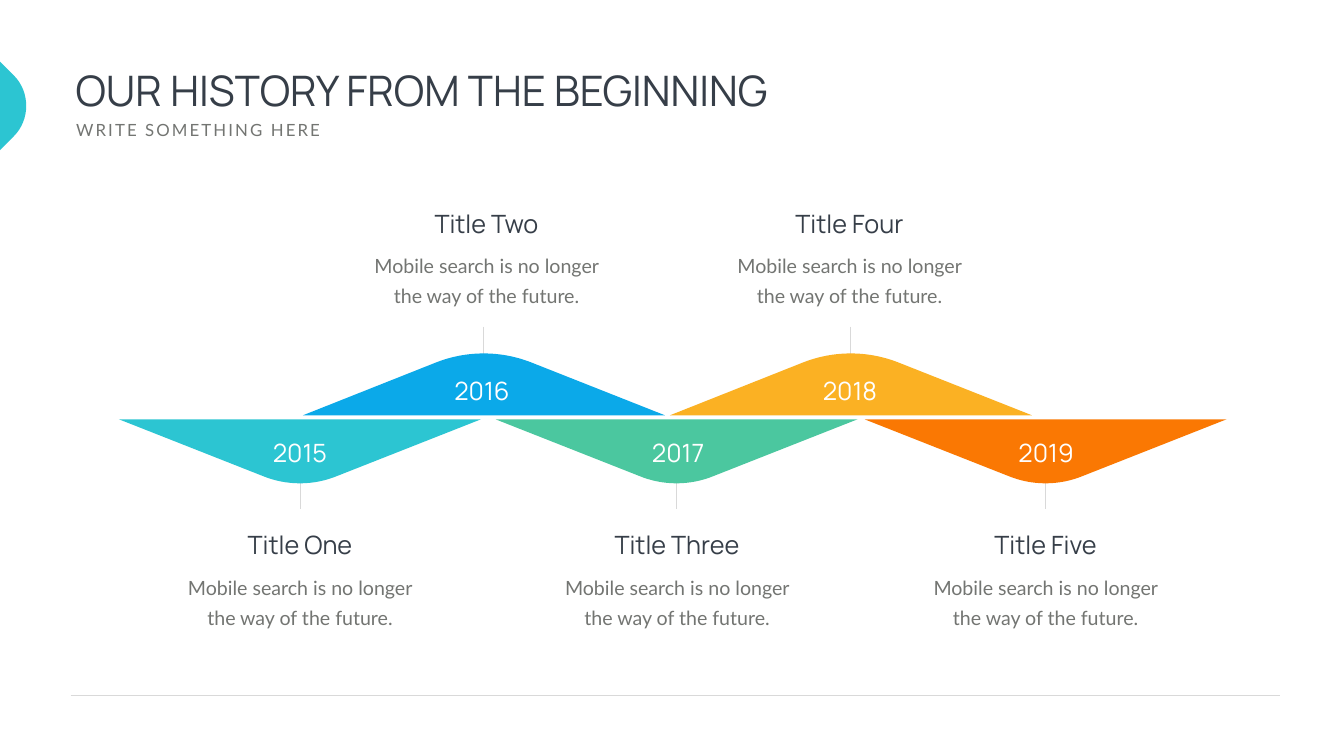
import pptx
import pptx.dml.color
import pptx.enum.shapes
import pptx.enum.text
import pptx.oxml
import pptx.oxml.ns
import pptx.util

PX = 9144
SLIDE_WIDTH, SLIDE_HEIGHT = 2666, 1500

COLORS = {
    "ink": "363E48",
    "grey": "737572",
    "rule": "D9D9D9",
    "white": "FFFFFF",
    "teal": "2CC5D2",
    "blue": "0BA9E9",
    "green": "4BC79F",
    "amber": "FBB123",
    "orange": "FA7803",
}

FONTS = {
    "headline": {"name": "Manrope", "size": pptx.util.Pt(60)},
    "tagline": {"name": "Lato", "size": pptx.util.Pt(24)},
    "label": {"name": "Manrope", "size": pptx.util.Pt(36)},
    "detail": {"name": "Lato", "size": pptx.util.Pt(28)},
}

DETAIL = "Mobile search is no longer the way of the future."
MILESTONES = [
    {"year": "2015", "title": "Title One", "color": "teal", "up": False,
     "wedge_x": 595, "year_x": 595, "caption_x": 595},
    {"year": "2016", "title": "Title Two", "color": "blue", "up": True,
     "wedge_x": 960, "year_x": 956, "caption_x": 965},
    {"year": "2017", "title": "Title Three", "color": "green", "up": False,
     "wedge_x": 1342, "year_x": 1345, "caption_x": 1343},
    {"year": "2018", "title": "Title Four", "color": "amber", "up": True,
     "wedge_x": 1688, "year_x": 1686, "caption_x": 1685},
    {"year": "2019", "title": "Title Five", "color": "orange", "up": False,
     "wedge_x": 2074, "year_x": 2075, "caption_x": 2074},
]


def rgb(color):
    return pptx.dml.color.RGBColor.from_string(COLORS[color])


def apply(target, values):
    for key, value in values.items():
        setattr(target, key, value)


def write(box, text, font, color, align="CENTER", wrap=True, inset=(10, 5),
          line_spacing=None, tracking=None):
    side, top = (length * PX for length in inset)
    frame = box.text_frame
    apply(frame, {
        "word_wrap": wrap,
        "auto_size": pptx.enum.text.MSO_AUTO_SIZE.NONE,
        "vertical_anchor": pptx.enum.text.MSO_ANCHOR.TOP,
        "margin_left": side, "margin_right": side,
        "margin_top": top, "margin_bottom": top,
    })
    paragraph = frame.paragraphs[0]
    apply(paragraph, {
        "alignment": getattr(pptx.enum.text.PP_ALIGN, align),
        "space_before": pptx.util.Pt(0),
        "line_spacing": line_spacing,
    })
    run = paragraph.add_run()
    run.text = text
    apply(run.font, FONTS[font])
    run.font.color.rgb = rgb(color)
    if tracking:
        run.font._element.set("spc", str(tracking * 100))


def place(shape, left, top, width, height):
    apply(shape, {"left": left * PX, "top": top * PX,
                  "width": width * PX, "height": height * PX})
    return shape


def add_text(slide, left, top, width, height, *content, **options):
    box = slide.shapes.add_textbox(0, 0, 0, 0)
    write(place(box, left, top, width, height), *content, **options)


def add_line(slide, start, end, color, weight):
    line = slide.shapes.add_connector(
        pptx.enum.shapes.MSO_CONNECTOR.STRAIGHT,
        *(length * PX for length in start + end))
    line.line.color.rgb = rgb(color)
    line.line.width = pptx.util.Pt(weight)
    line._element.spPr.append(pptx.oxml.parse_xml(
        f'<a:effectLst {pptx.oxml.ns.nsdecls("a")}/>'))


def add_rounded_tip(slide, left, top, start, bend, end, color):
    crest = tuple((a + 3 * b + 3 * c + d) / 8 for a, b, c, d in zip(*bend))
    outline = [((left + x) * PX, (top + y) * PX)
               for x, y in (start, bend[0], crest, bend[3], end)]
    builder = slide.shapes.build_freeform(*outline[0], scale=1.0)
    builder.add_line_segments(outline[1:], close=True)
    tip = builder.convert_to_shape()
    to_crest, to_bend_end = tip._element.findall(
        ".//" + pptx.oxml.ns.qn("a:lnTo"))[1:3]
    handles = "".join(
        f'<a:pt x="{(left + x) * PX - tip.left}" y="{(top + y) * PX - tip.top}"/>'
        for x, y in bend[1:])
    to_crest.addprevious(pptx.oxml.parse_xml(
        f'<a:cubicBezTo {pptx.oxml.ns.nsdecls("a")}>{handles}</a:cubicBezTo>'))
    for segment in (to_crest, to_bend_end):
        segment.getparent().remove(segment)
    tip.shadow.inherit = False
    tip.fill.solid()
    tip.fill.fore_color.rgb = rgb(color)
    tip.line.fill.background()
    return tip


def add_header(slide, left, top):
    headline, tagline = slide.placeholders
    write(place(headline, left, top, 1606, 111),
          "OUR HISTORY FROM THE BEGINNING", "headline", "ink", align="LEFT")
    write(place(tagline, left + 1, top + 110, 514, 50),
          "WRITE SOMETHING HERE", "tagline", "grey", align="LEFT",
          wrap=False, tracking=3)
    corner = add_rounded_tip(slide, -62, top + 25, (124, 124),
                             ((85, 124), (39, 124), (0, 85), (0, 39)),
                             (0, 0), "teal")
    corner.rotation = 225


def add_caption(slide, center, top, title):
    add_text(slide, center - 140, top, 280, 71, title, "label", "ink", wrap=False)
    add_text(slide, center - 261, top + 71, 522, 138, DETAIL, "detail", "grey",
             inset=(24, 12), line_spacing=pptx.util.Pt(43))


def add_milestone(slide, axis, milestone):
    center, up = milestone["wedge_x"], milestone["up"]
    left = center - 359
    if up:
        stem_x, stem_top, year_top, caption_top = center - 2, -180, -89, -420
        base, bend = -4, ((262, -108), (324, -133), (393, -133), (455, -108))
    else:
        stem_x, stem_top, year_top, caption_top = center, 78, 34, 218
        base, bend = 4, ((284, 116), (332, 136), (386, 136), (434, 116))
    add_line(slide, (stem_x, axis + stem_top), (stem_x, axis + stem_top + 104),
             "rule", 1)
    add_rounded_tip(slide, left, axis, (0, base), bend, (718, base),
                    milestone["color"])
    add_text(slide, milestone["year_x"] - 66, axis + year_top, 132, 71,
             milestone["year"], "label", "white", wrap=False)
    add_caption(slide, milestone["caption_x"], axis + caption_top,
                milestone["title"])


def add_timeline(slide, left, axis, width):
    for milestone in MILESTONES:
        add_milestone(slide, axis, milestone)
    add_line(slide, (left, axis), (left + width, axis), "white", 1.39)


def main():
    deck = pptx.Presentation()
    apply(deck, {"slide_width": SLIDE_WIDTH * PX, "slide_height": SLIDE_HEIGHT * PX})
    slide = deck.slides.add_slide(deck.slide_layouts[0])
    add_line(slide, (140, 1379), (2540, 1379), "rule", 0.5)
    add_header(slide, 140, 123)
    add_timeline(slide, 234, 828, 2195)
    deck.save("out.pptx")


if __name__ == "__main__":
    main()
